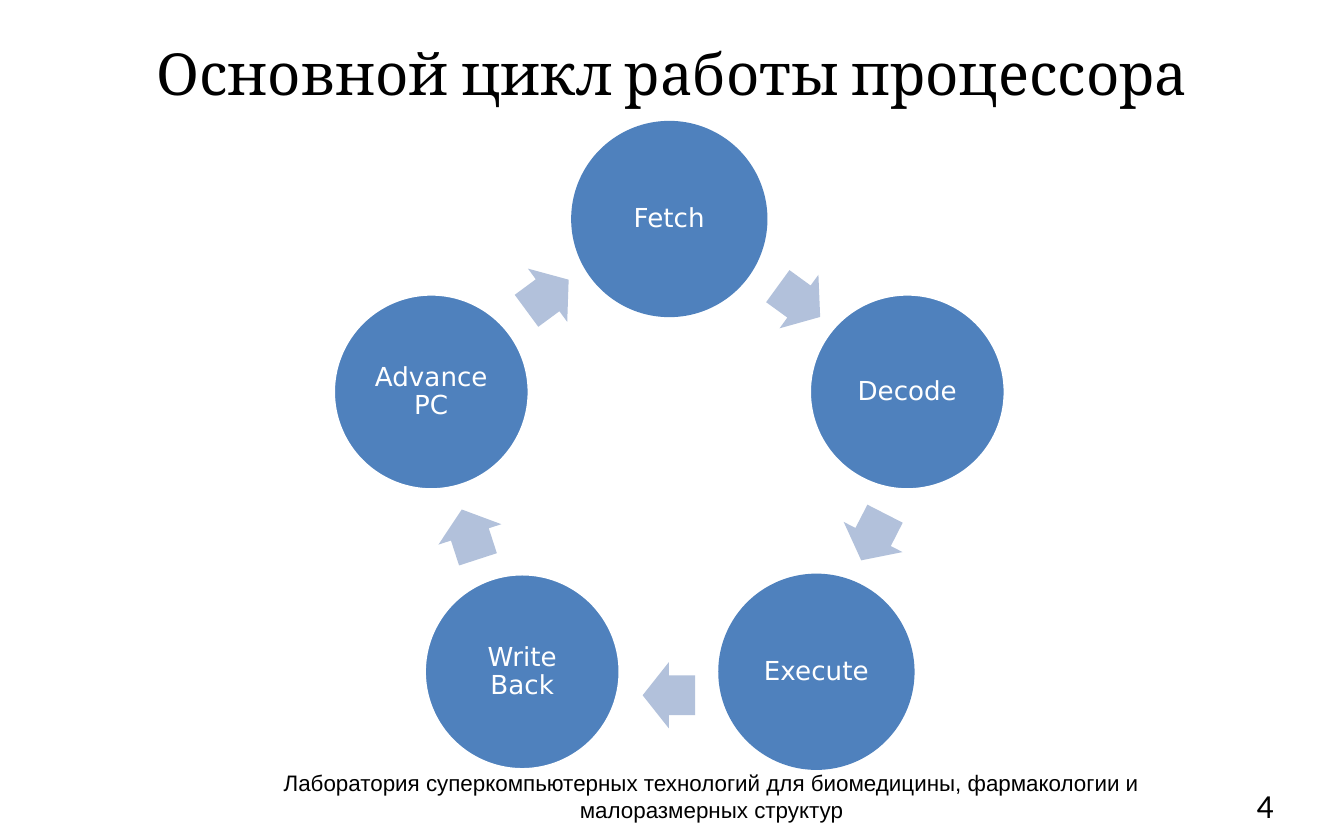
from math import cos, radians, sin

from pptx import Presentation
from pptx.dml.color import RGBColor
from pptx.enum.shapes import MSO_SHAPE
from pptx.enum.text import MSO_ANCHOR, PP_ALIGN
from pptx.util import Cm, Pt

OVAL, ARROW = MSO_SHAPE.OVAL, MSO_SHAPE.RIGHT_ARROW
TOP, MIDDLE = MSO_ANCHOR.TOP, MSO_ANCHOR.MIDDLE
LEFT, CENTER = PP_ALIGN.LEFT, PP_ALIGN.CENTER

BLACK = RGBColor(0x00, 0x00, 0x00)
WHITE = RGBColor(0xFF, 0xFF, 0xFF)
BLUE = RGBColor(0x4F, 0x81, 0xBD)
PALE_BLUE = RGBColor(0xB2, 0xC1, 0xDB)

presentation = Presentation()
presentation.slide_width = Cm(25.4)
presentation.slide_height = Cm(15.8)
slide = presentation.slides.add_slide(presentation.slide_layouts[6])


def write(shape, text, font, size, color, alignment, anchor):
    frame = shape.text_frame
    frame.word_wrap = True
    frame.vertical_anchor = anchor
    paragraph = frame.paragraphs[0]
    paragraph.alignment = alignment
    run = paragraph.add_run()
    run.text = text
    run.font.name = font
    run.font.size = Pt(size)
    run.font.color.rgb = color


def add_centered_shape(kind, x, y, width, height, color):
    """Add a plain filled shape whose centre is at x, y (all in cm)."""
    shape = slide.shapes.add_shape(
        kind, Cm(x - width / 2), Cm(y - height / 2), Cm(width), Cm(height))
    shape.shadow.inherit = False
    shape.fill.solid()
    shape.fill.fore_color.rgb = color
    shape.line.fill.background()
    return shape


# Title, footer and slide number
TEXTS = [
    ("Основной цикл работы процессора",
     (1.27, 0.64, 22.86, 1.47), "Cambria", 31, CENTER, MIDDLE),
    ("Лаборатория суперкомпьютерных технологий для биомедицины, "
     "фармакологии и малоразмерных структур",
     (4.24, 14.63, 18.42, 0.84), "Arial", 12, CENTER, MIDDLE),
    ("4", (23.5, 14.71, 1.42, 0.84), "Calibri", 18, LEFT, TOP),
]
for text, box, font, size, alignment, anchor in TEXTS:
    text_box = slide.shapes.add_textbox(*[Cm(length) for length in box])
    write(text_box, text, font, size, BLACK, alignment, anchor)

# Stages sit evenly on a ring, clockwise from the top
CENTER_X, CENTER_Y, RING_RADIUS = 12.65, 8.87, 4.73
DIAMETER = 3.71
STAGES = [("Fetch", False), ("Decode", True), ("Execute", False),
          ("Write Back", True), ("Advance PC", True)]
# Centre and direction of the arrow that follows each stage
ARROWS = [(15.1, 5.7, 36), (16.5, 10.15, 117.1), (12.64, 13.14, 180),
          (8.88, 10.1, 252), (10.35, 5.58, 323.6)]

for index, ((name, outlined), (arrow_x, arrow_y, direction)) in enumerate(
        zip(STAGES, ARROWS)):
    angle = radians(index * 360 / len(STAGES))
    circle = add_centered_shape(
        OVAL, CENTER_X + RING_RADIUS * sin(angle),
        CENTER_Y - RING_RADIUS * cos(angle), DIAMETER, DIAMETER, BLUE)
    if outlined:
        circle.line.color.rgb = WHITE
        circle.line.width = Pt(2)
    write(circle, name, "DejaVu Sans", 14, WHITE, CENTER, MIDDLE)
    frame = circle.text_frame
    frame.margin_left = frame.margin_right = Cm(0.08)
    frame.margin_top = frame.margin_bottom = Cm(0.08)
    frame.paragraphs[0].line_spacing = 0.9
    frame.paragraphs[0].space_after = Pt(6)

    arrow = add_centered_shape(ARROW, arrow_x, arrow_y, 0.99, 1.25, PALE_BLUE)
    arrow.adjustments[0] = 0.6
    arrow.adjustments[1] = 0.5
    arrow.rotation = direction

presentation.save("out.pptx")
